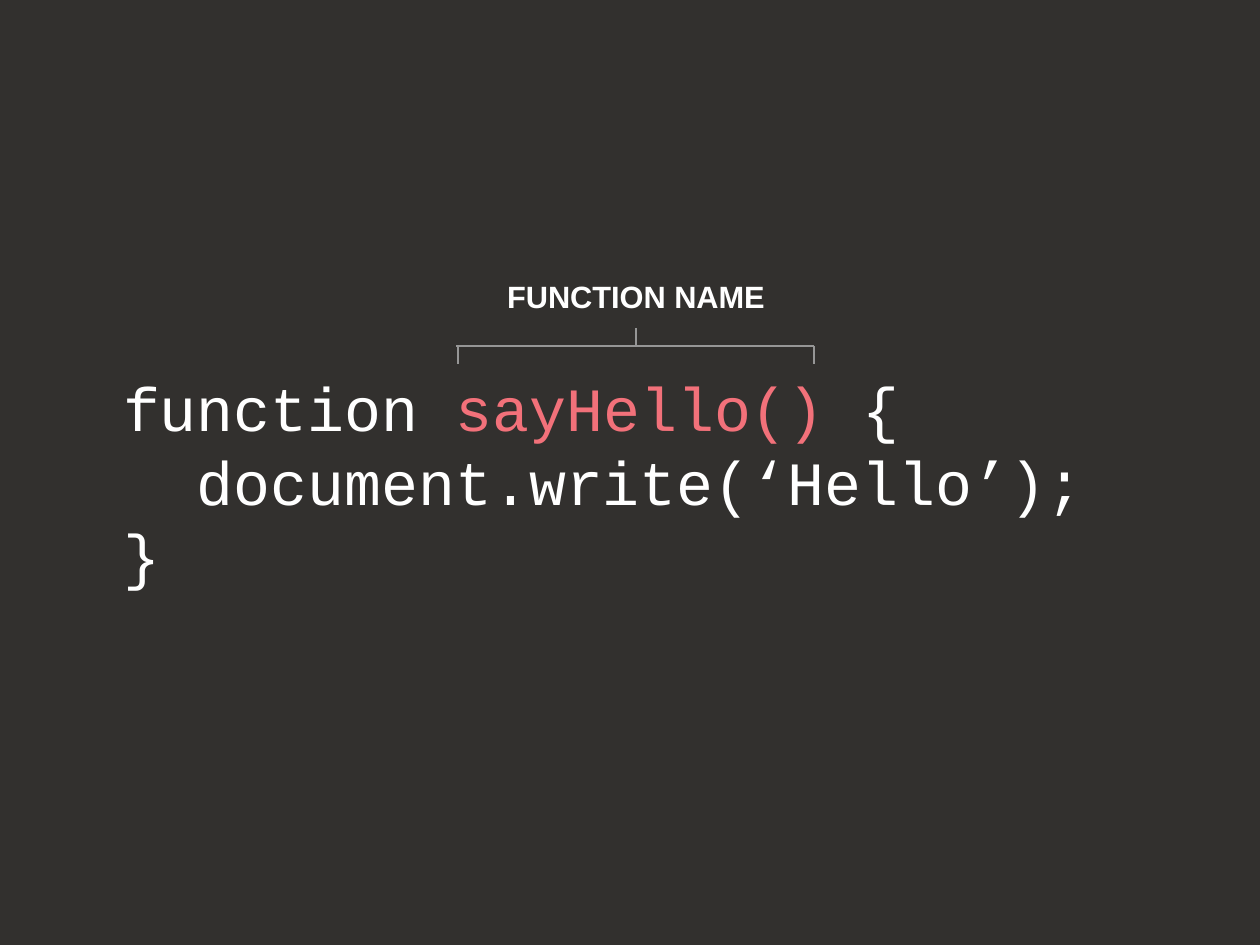
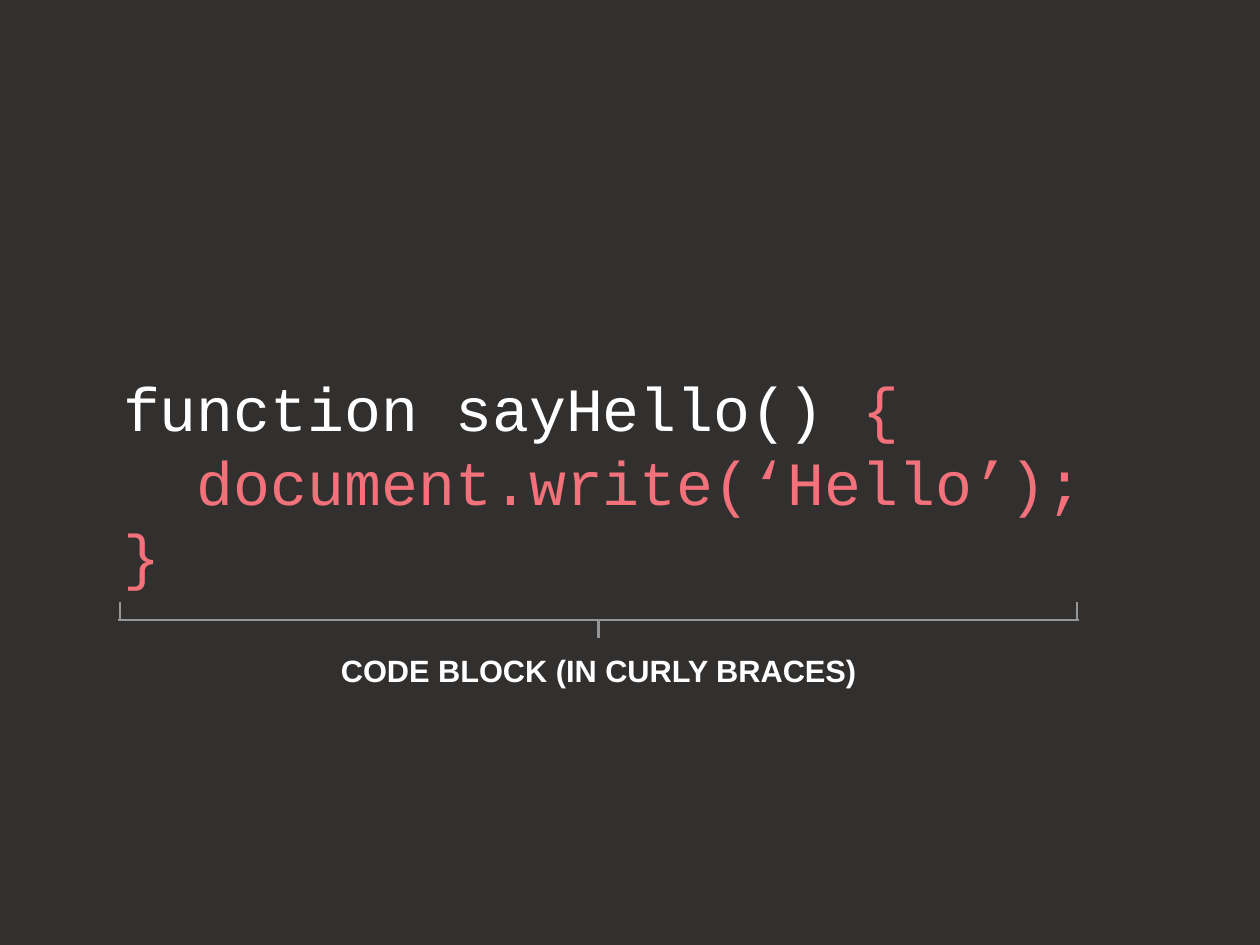
from lxml import etree
from pptx import Presentation
from pptx.dml.color import RGBColor
from pptx.enum.shapes import MSO_CONNECTOR
from pptx.enum.text import MSO_ANCHOR, MSO_AUTO_SIZE, PP_ALIGN
from pptx.oxml.ns import qn
from pptx.util import Pt

PX = 10320
WIDTH, HEIGHT = 1260, 945
BACKGROUND, WHITE, ACCENT, GRAY = "32302E", "FFFFFF", "F2717A", "969696"
INSET, TOP_INSET = 123, 139
ARM, LABEL_GAP, LABEL_HEIGHT = 18, 14, 36

SLIDES = [
    {
        "code": [
            [("function ", WHITE), ("sayHello()", ACCENT), (" {", WHITE)],
            [("  document.write(‘Hello’);", WHITE)],
            [("}", WHITE)],
        ],
        "label": "FUNCTION NAME",
        "label_width": 297,
        "arms": (458, 814),
        "bar": (456, 814),
        "bar_y": 346,
        "outward": -1,
    },
    {
        "code": [
            [("function sayHello() ", WHITE), ("{", ACCENT)],
            [("  document.write(‘Hello’);", ACCENT)],
            [("}", ACCENT)],
        ],
        "label": "CODE BLOCK (IN CURLY BRACES)",
        "label_width": 913,
        "arms": (120, 1077),
        "bar": (118, 1079),
        "bar_y": 620,
        "outward": 1,
    },
]


def px(*lengths):
    return [round(n * PX) for n in lengths]


def color(value):
    return RGBColor.from_string(value)


def set_font(font, name, size, value, bold=False):
    font.name, font.size, font.bold = name, Pt(size), bold
    font.color.rgb = color(value)


def set_insets(tf, left, top, right, bottom):
    tf.margin_left, tf.margin_top, tf.margin_right, tf.margin_bottom = px(
        left, top, right, bottom)


def style_layout(prs):
    fill = prs.slide_master.background.fill
    fill.solid()
    fill.fore_color.rgb = color(BACKGROUND)
    layout = prs.slide_layouts.get_by_name("Title Only")
    title = next(sp for sp in layout.placeholders
                 if sp.placeholder_format.idx == 0)
    title.left, title.top, title.width, title.height = px(0, 0, WIDTH, HEIGHT)
    tf = title.text_frame
    set_insets(tf, INSET, TOP_INSET, INSET, INSET)
    tf.vertical_anchor = MSO_ANCHOR.MIDDLE
    tf.auto_size = MSO_AUTO_SIZE.NONE
    tf.word_wrap = True
    return layout


def add_code(s, lines):
    p = s.shapes.title.text_frame.paragraphs[0]
    p.alignment = PP_ALIGN.LEFT
    p.line_spacing = Pt(60)
    for i, line in enumerate(lines):
        if i:
            p.add_line_break()
        for text, value in line:
            r = p.add_run()
            r.text = text
            set_font(r.font, "Courier New", 50, value)


def add_line(shapes, x1, y1, x2, y2):
    line = shapes.add_connector(MSO_CONNECTOR.STRAIGHT, *px(x1, y1, x2, y2))
    line.line.color.rgb = color(GRAY)
    line.line.width = Pt(2)
    etree.SubElement(line._element.spPr, qn("a:effectLst"))


def add_label(shapes, text, center, top, width):
    box = shapes.add_textbox(*px(center - width / 2, top, width, LABEL_HEIGHT))
    tf = box.text_frame
    set_insets(tf, 0, 0, 0, 0)
    tf.word_wrap = True
    tf.vertical_anchor = MSO_ANCHOR.MIDDLE
    tf.text = text
    p = tf.paragraphs[0]
    p.alignment = PP_ALIGN.CENTER
    set_font(p.runs[0].font, "Arial", 25, WHITE, bold=True)


def add_callout(s, slide):
    shapes = s.shapes.add_group_shape().shapes
    y, outward = slide["bar_y"], slide["outward"]
    center = sum(slide["arms"]) / 2
    stem_end = y + outward * ARM
    for x in slide["arms"]:
        add_line(shapes, x, y, x, y - outward * ARM)
    add_line(shapes, center, stem_end, center, y)
    left, right = slide["bar"]
    add_line(shapes, left, y, right, y)
    label_middle = stem_end + outward * (LABEL_GAP + LABEL_HEIGHT / 2)
    add_label(shapes, slide["label"], center,
              label_middle - LABEL_HEIGHT / 2, slide["label_width"])


def main():
    prs = Presentation()
    prs.slide_width, prs.slide_height = px(WIDTH, HEIGHT)
    layout = style_layout(prs)
    for slide in SLIDES:
        s = prs.slides.add_slide(layout)
        add_code(s, slide["code"])
        add_callout(s, slide)
    prs.save("out.pptx")


if __name__ == "__main__":
    main()
